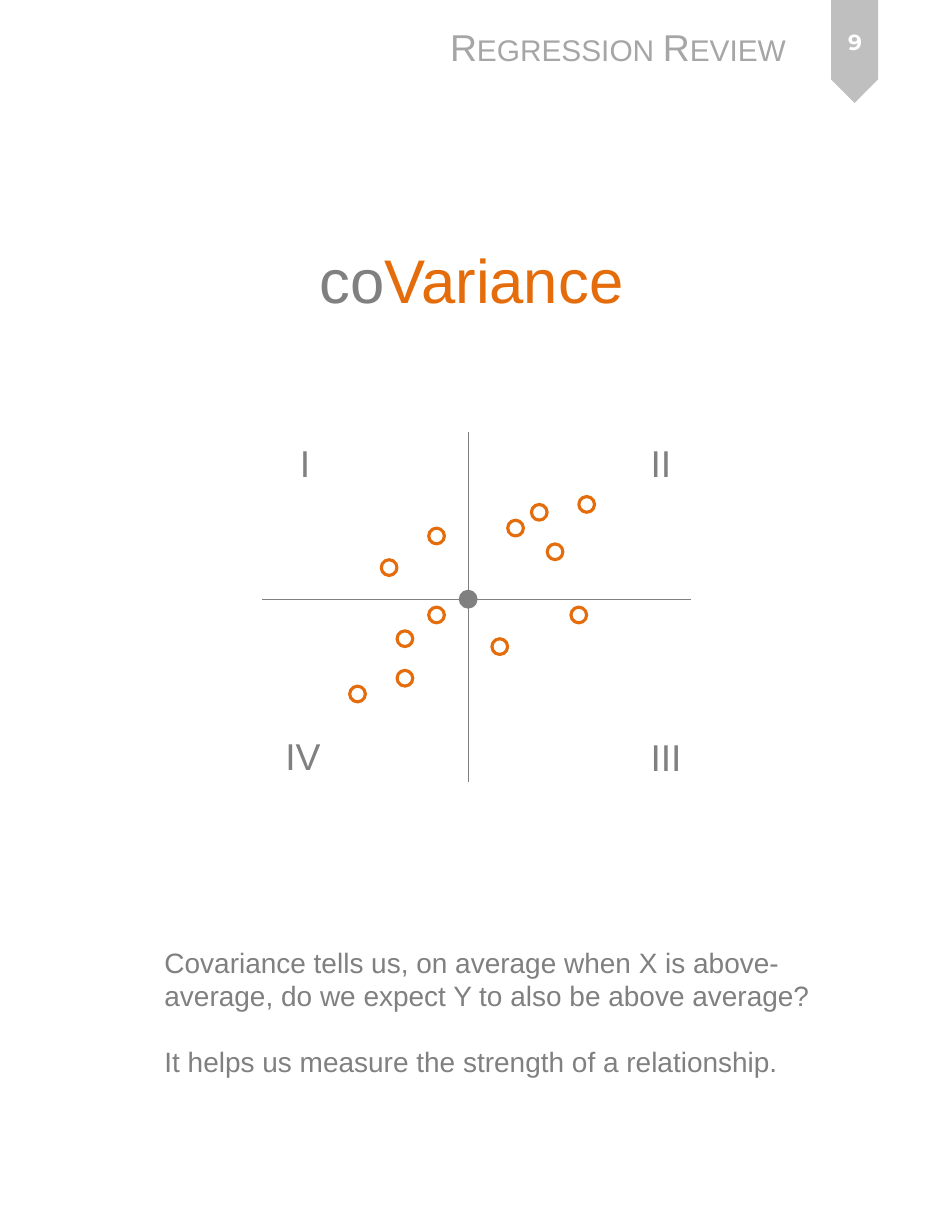
import dataclasses

import pptx
import pptx.dml.color
import pptx.enum.shapes
import pptx.enum.text
import pptx.oxml.ns
import pptx.util
from lxml import etree

SHAPES = pptx.enum.shapes.MSO_SHAPE
ALIGN = pptx.enum.text.PP_ALIGN
ANCHOR = pptx.enum.text.MSO_ANCHOR
AUTO_SIZE = pptx.enum.text.MSO_AUTO_SIZE
WIDTH = pptx.util.Inches(8.5)
HEIGHT = pptx.util.Inches(11)


@dataclasses.dataclass(frozen=True)
class Theme:
    font: str = "Arial"
    number_font: str = "Montserrat"
    text: str = "808080"
    accent: str = "E46C0A"
    header: str = "A6A6A6"
    badge: str = "BFBFBF"
    white: str = "FFFFFF"
    title_size: float = 39.6
    label_size: float = 24
    body_size: float = 18
    number_size: float = 14
    axis_width: float = 0.75
    dot_width: float = 2


THEME = Theme()
ORIGIN = (49.18, 48.64)
STEP = 0.83
DOT_SIZE = 1.65
POINTS = [(11, 6), (15, 12), (-4, 8), (-10, 4), (-4, -2), (-8, -5),
          (6, 9), (9, 11), (-8, -10), (-14, -12), (4, -6), (14, -2)]
QUADRANTS = [("I", 30.35, 35.27, 4), ("II", 67.18, 35.27, 5.53),
             ("IV", 28.82, 59.09, 6.35), ("III", 67.18, 59.18, 7.06)]


def across(share):
    return round(WIDTH * share / 100)


def down(share):
    return round(HEIGHT * share / 100)


def area(left, top, width, height):
    return across(left), down(top), across(width), down(height)


def rgb(color):
    return pptx.dml.color.RGBColor.from_string(color)


def style(span, size, color, font=THEME.font):
    span.font.name = font
    span.font.size = pptx.util.Pt(size)
    span.font.color.rgb = rgb(color)


def add_text(page, place, lines, size, color, font=THEME.font, wrap=False):
    box = page.shapes.add_textbox(*area(*place))
    frame = box.text_frame
    frame.word_wrap = wrap
    frame.text = "\n".join(lines)
    for para in frame.paragraphs:
        for span in para.runs:
            style(span, size, color, font)
    return frame


def add_title(page):
    title = page.shapes.title
    title.left, title.top, title.width, title.height = area(7.06, 12.91, 84.94, 15.91)
    frame = title.text_frame
    frame.auto_size = AUTO_SIZE.NONE
    frame.vertical_anchor = ANCHOR.MIDDLE
    frame.margin_top = down(4)
    para = frame.paragraphs[0]
    para.alignment = ALIGN.CENTER
    for word, color in (("co", THEME.text), ("Variance", THEME.accent)):
        span = para.add_run()
        span.text = word
        style(span, THEME.title_size, color)


def add_page_number(page):
    badge = page.shapes.add_shape(SHAPES.PENTAGON, *area(84.35, 2.27, 10.82, 3.82))
    badge.rotation = 90
    badge.shadow.inherit = False
    badge.fill.solid()
    badge.fill.fore_color.rgb = rgb(THEME.badge)
    badge.line.fill.background()
    frame = add_text(page, (85.41, 0.73, 8.82, 5.36), ["9"], THEME.number_size,
                     THEME.white, THEME.number_font, True)
    frame.vertical_anchor = ANCHOR.MIDDLE
    para = frame.paragraphs[0]
    para.alignment = ALIGN.CENTER
    para.runs[0].font.bold = True


def add_header(page):
    frame = add_text(page, (46.12, 1.55, 38.24, 4.55), ["Regression Review"],
                     THEME.label_size, THEME.header)
    frame.paragraphs[0].runs[0].font._element.set("cap", "small")


def add_axis(page, start, end):
    axis = page.shapes.add_connector(
        pptx.enum.shapes.MSO_CONNECTOR.STRAIGHT,
        across(start[0]), down(start[1]), across(end[0]), down(end[1]))
    axis.line.color.rgb = rgb(THEME.text)
    axis.line.width = pptx.util.Pt(THEME.axis_width)
    etree.SubElement(axis._element.spPr, pptx.oxml.ns.qn("a:effectLst"))


def add_dot(page, column, row, color, filled=False):
    size = across(DOT_SIZE)
    left = across(ORIGIN[0] + column * STEP) - size // 2
    top = down(ORIGIN[1]) - across(row * STEP) - size // 2
    dot = page.shapes.add_shape(SHAPES.OVAL, left, top, size, size)
    dot.shadow.inherit = False
    dot.line.color.rgb = rgb(color)
    dot.line.width = pptx.util.Pt(THEME.dot_width)
    if filled:
        dot.fill.solid()
        dot.fill.fore_color.rgb = rgb(color)
    else:
        dot.fill.background()


def add_scatter(page):
    add_axis(page, (ORIGIN[0], 35.09), (ORIGIN[0], 63.45))
    add_axis(page, (72.59, ORIGIN[1]), (27.53, ORIGIN[1]))
    add_dot(page, 0, 0, THEME.text, True)
    for column, row in POINTS:
        add_dot(page, column, row, THEME.accent)
    for name, left, top, width in QUADRANTS:
        add_text(page, (left, top, width, 4.55), [name], THEME.label_size, THEME.text)


def add_explanation(page):
    frame = add_text(page, (16.12, 76.27, 71.06, 11.91), [
        "Covariance tells us, on average when X is above-average, "
        "do we expect Y to also be above average?",
        "It helps us measure the strength of a relationship.",
    ], THEME.body_size, THEME.text, wrap=True)
    frame.paragraphs[1].space_before = pptx.util.Pt(21)


def main():
    deck = pptx.Presentation()
    deck.slide_width, deck.slide_height = WIDTH, HEIGHT
    page = deck.slides.add_slide(deck.slide_layouts[5])
    add_page_number(page)
    add_header(page)
    add_title(page)
    add_explanation(page)
    add_scatter(page)
    deck.save("out.pptx")


if __name__ == "__main__":
    main()
